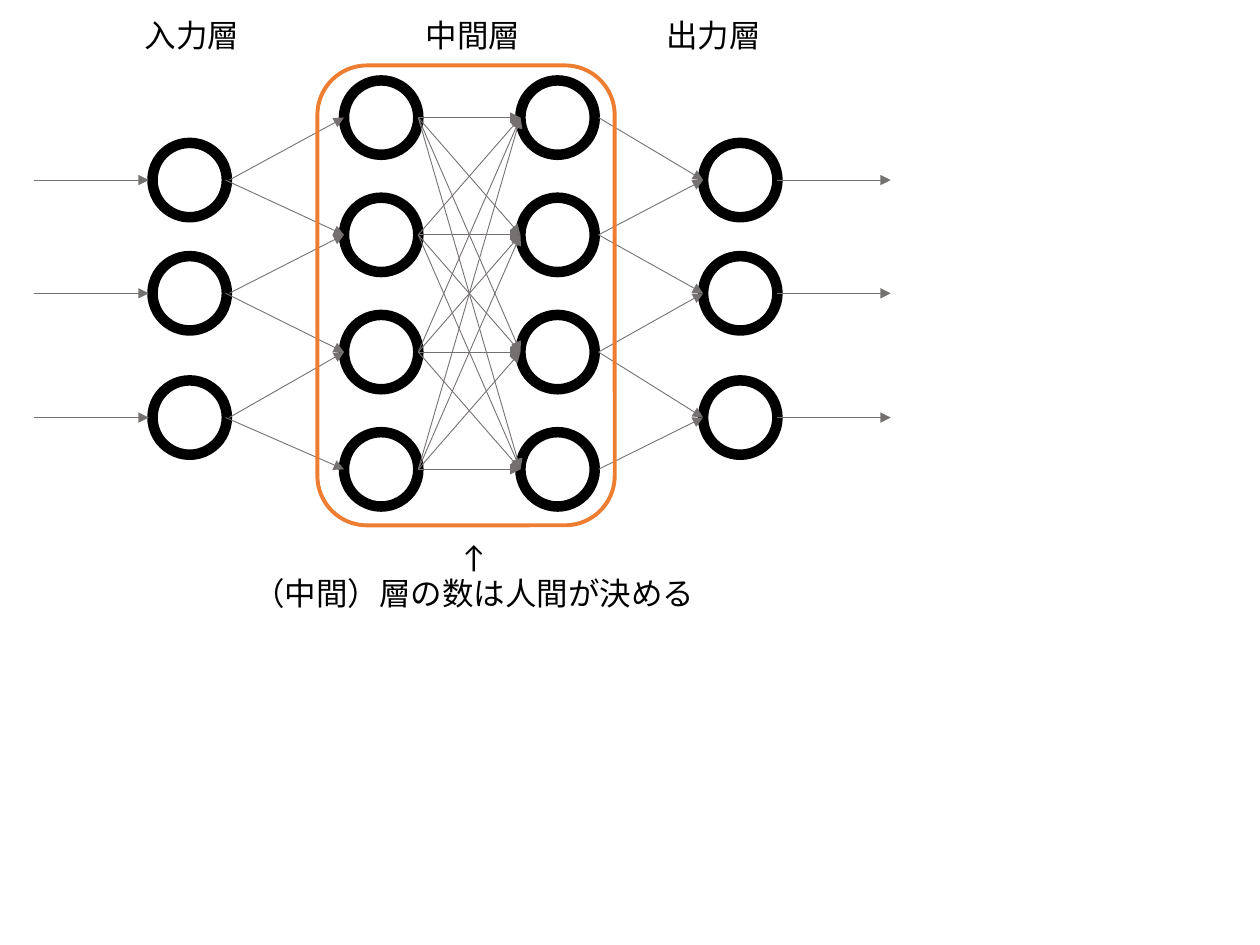
from lxml.etree import SubElement
from pptx import Presentation
from pptx.dml.color import RGBColor
from pptx.enum.shapes import MSO_CONNECTOR as Connector, MSO_SHAPE as Shape
from pptx.enum.text import MSO_AUTO_SIZE as AutoSize, PP_ALIGN as Align
from pptx.oxml.ns import qn
from pptx.util import Pt

BLACK = RGBColor(0x00, 0x00, 0x00)
GRAY = RGBColor(0x76, 0x71, 0x71)
ORANGE = RGBColor(0xED, 0x7D, 0x31)
FONT = "Calibri"

# Content: text lines with left, top, width, height
LABELS = [
    (["入力層"], 75.6, 5.8, 69, 29),
    (["中間層"], 236.2, 5.8, 69, 29),
    (["出力層"], 373.7, 5.8, 69, 29),
    (["↑", "（中間）層の数は人間が決める"], 136.1, 303.1, 269.3, 51),
]

# Neuron centres, by layer
DIAMETER = 42.5
OUTER_ROWS = [102.9, 167.6, 238.6]
HIDDEN_ROWS = [67.2 + 67 * row for row in range(4)]
LAYERS = [
    (108.4, OUTER_ROWS),
    (217.8, HIDDEN_ROWS),
    (318.6, HIDDEN_ROWS),
    (423, OUTER_ROWS),
]
HIDDEN_FRAME = (181.4, 37.4, 169.9, 262.8)

# Horizontal spans of the arrows between columns
SPAN_IN = (19.4, 85)
SPAN_UP = (131, 196.6)
SPAN_DOWN = (128.9, 196.6)
SPAN_HIDDEN = (239, 297.4)
SPAN_MERGE = (342, 401.8)
SPAN_OUT = (444.2, 509)


def add_outline(shapes, kind, frame, color, width):
    outline = shapes.add_shape(kind, *map(Pt, frame))
    outline.shadow.inherit = False
    outline.fill.background()
    outline.line.color.rgb = color
    outline.line.width = Pt(width)


def add_arrow(shapes, span, start_y, end_y):
    arrow = shapes.add_connector(
        Connector.STRAIGHT, Pt(span[0]), Pt(start_y), Pt(span[1]), Pt(end_y))
    arrow.line.color.rgb = GRAY
    arrow.line.width = Pt(0.5)
    SubElement(arrow.line._get_or_add_ln(), qn("a:tailEnd"), type="triangle")
    SubElement(arrow._element.spPr, qn("a:effectLst"))


def add_label(shapes, lines, *frame):
    box = shapes.add_textbox(*map(Pt, frame))
    text = box.text_frame
    text.word_wrap = False
    text.auto_size = AutoSize.SHAPE_TO_FIT_TEXT
    text.text = "\n".join(lines)
    for para in text.paragraphs:
        para.font.name = FONT
        para.font.size = Pt(18)
        para.font.color.rgb = BLACK
        para.alignment = Align.CENTER if len(lines) > 1 else Align.LEFT


def main():
    deck = Presentation()
    deck.slide_width, deck.slide_height = Pt(720), Pt(540)
    page = deck.slides.add_slide(deck.slide_layouts[6])
    shapes = page.shapes.add_group_shape().shapes

    # Neurons
    for center_x, rows in LAYERS:
        for center_y in rows:
            frame = (center_x - DIAMETER / 2, center_y - DIAMETER / 2,
                     DIAMETER, DIAMETER)
            add_outline(shapes, Shape.OVAL, frame, BLACK, 6)

    # Each outer neuron links to the two nearest hidden ones
    for row, outer_y in enumerate(OUTER_ROWS):
        upper_y, lower_y = HIDDEN_ROWS[row:row + 2]
        add_arrow(shapes, SPAN_IN, outer_y, outer_y)
        add_arrow(shapes, SPAN_UP, outer_y, upper_y)
        add_arrow(shapes, SPAN_DOWN, outer_y, lower_y)
        add_arrow(shapes, SPAN_MERGE, upper_y, outer_y)
        add_arrow(shapes, SPAN_MERGE, lower_y, outer_y)
        add_arrow(shapes, SPAN_OUT, outer_y, outer_y)

    # The hidden layers are fully connected
    for start_y in HIDDEN_ROWS:
        for end_y in HIDDEN_ROWS:
            add_arrow(shapes, SPAN_HIDDEN, start_y, end_y)

    # Hidden layer frame and labels
    add_outline(shapes, Shape.ROUNDED_RECTANGLE, HIDDEN_FRAME, ORANGE, 2.25)
    for label in LABELS:
        add_label(shapes, *label)

    deck.save("out.pptx")


if __name__ == "__main__":
    main()
